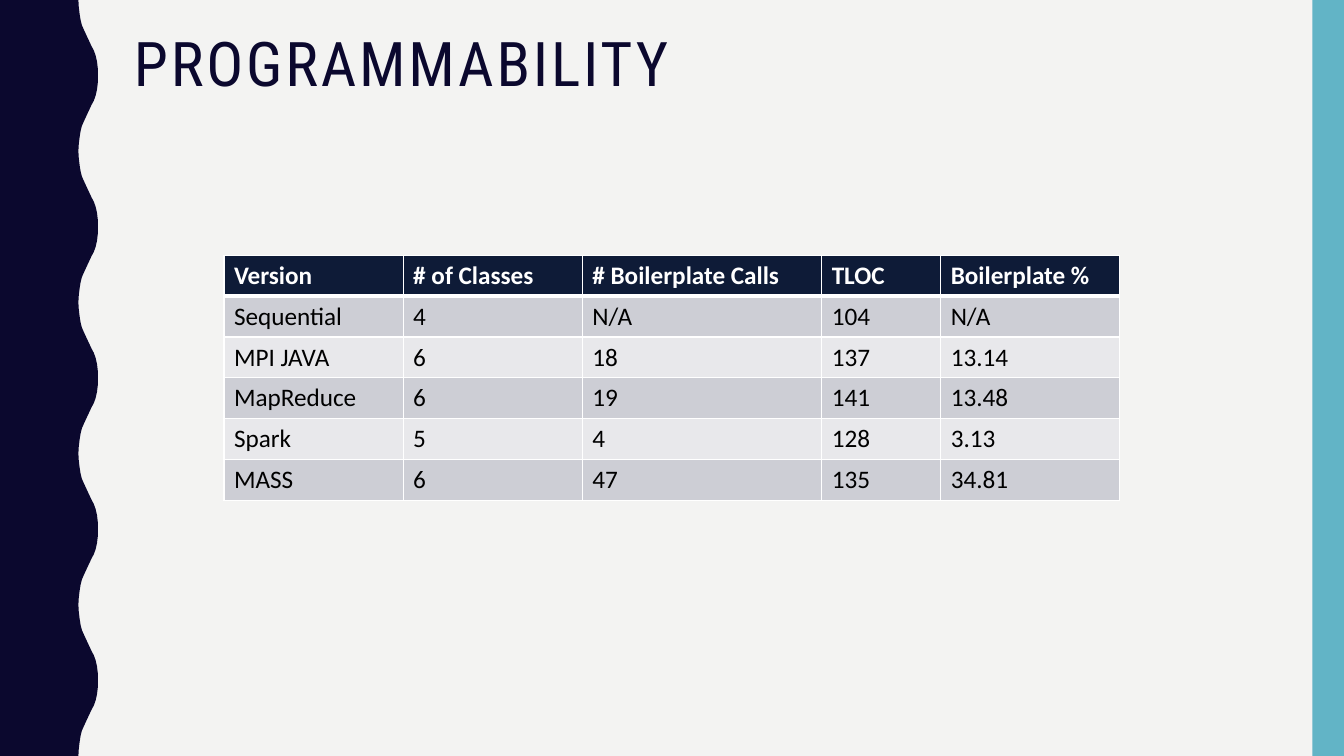
from lxml import etree
from pptx import Presentation
from pptx import util as u
from pptx.dml.color import RGBColor
from pptx.enum import shapes, text
from pptx.oxml import ns

Pt = u.Pt
TITLE = "PROGRAMMABILITY"
ROWS = [
    ("Version", "# of Classes", "# Boilerplate Calls", "TLOC", "Boilerplate %"),
    ("Sequential", "4", "N/A", "104", "N/A"),
    ("MPI JAVA", "6", "18", "137", "13.14"),
    ("MapReduce", "6", "19", "141", "13.48"),
    ("Spark", "5", "4", "128", "3.13"),
    ("MASS", "6", "47", "135", "34.81"),
]
COLS = [128, 128, 171, 85, 128]
ROW_H = 29.2
WIDE, HIGH = 960, 540
HALF = 54
BEND = [(56, 0), (56.3, 5), (56.9, 10), (57.6, 14.4), (58.5, 18), (59.8, 21),
        (61.2, 24), (62.6, 27), (64, 30), (65.4, 33), (67, 36), (68.3, 39.6),
        (69.3, 44), (69.9, 49), (70, 54)]

NAVY = RGBColor(0x0B, 0x08, 0x2E)
TEAL = RGBColor(0x62, 0xB4, 0xC6)
PAPER = RGBColor(0xF3, 0xF3, 0xF2)
HEAD = RGBColor(0x0E, 0x1B, 0x37)
DARK = RGBColor(0xCD, 0xCE, 0xD5)
LIGHT = RGBColor(0xE8, 0xE8, 0xEB)
WHITE = RGBColor(0xFF, 0xFF, 0xFF)
BLACK = RGBColor(0, 0, 0)

TITLE_FONT = {"name": "Roboto Condensed", "size": Pt(44), "bold": False}
HEAD_FONT = {"name": "Calibri", "size": Pt(18), "bold": True}
BODY_FONT = {**HEAD_FONT, "bold": False}


def style(font, look, color):
    for key, value in look.items():
        setattr(font, key, value)
    font.color.rgb = color


def paint(shape, color):
    shape.shadow.inherit = False
    shape.fill.solid()
    shape.fill.fore_color.rgb = color
    shape.line.fill.background()


def border(cell, top, bottom):
    props = cell._tc.get_or_add_tcPr()
    for side, width in (("L", 1), ("R", 1), ("T", top), ("B", bottom)):
        line = etree.SubElement(props, ns.qn("a:ln" + side), w=str(Pt(width)))
        fill = etree.SubElement(line, ns.qn("a:solidFill"))
        etree.SubElement(fill, ns.qn("a:srgbClr"), val=str(WHITE))


deck = Presentation()
deck.slide_width, deck.slide_height = Pt(WIDE), Pt(HIGH)
slide = deck.slides.add_slide(deck.slide_layouts[6])
slide.background.fill.solid()
slide.background.fill.fore_color.rgb = PAPER

wave = []
for k in range(HIGH // HALF):
    if k % 2:
        wave += [(x, (k + 1) * HALF - y) for x, y in reversed(BEND)][1:]
    else:
        wave += [(x, k * HALF + y) for x, y in BEND][min(k, 1):]
build = slide.shapes.build_freeform(0, 0)
build.add_line_segments([(Pt(x), Pt(y)) for x, y in wave + [(0, HIGH)]], close=True)
paint(build.convert_to_shape(), NAVY)

band = slide.shapes.add_shape(
    shapes.MSO_SHAPE.RECTANGLE, Pt(937.5), 0, Pt(22.5), Pt(HIGH))
paint(band, TEAL)

title = slide.shapes.add_textbox(Pt(88.6), Pt(22.3), Pt(492), Pt(51))
frame = title.text_frame
for key, value in {"word_wrap": True, "vertical_anchor": text.MSO_ANCHOR.MIDDLE}.items():
    setattr(frame, key, value)
para = frame.paragraphs[0]
para.line_spacing = 0.9
run = para.add_run()
run.text = TITLE
style(run.font, TITLE_FONT, NAVY)
run.font._element.set("spc", "200")

table = slide.shapes.add_table(
    len(ROWS), len(COLS), Pt(160), Pt(182.3),
    Pt(sum(COLS)), Pt(ROW_H * len(ROWS))).table
for col, width in zip(table.columns, COLS):
    col.width = Pt(width)
for r, row in enumerate(ROWS):
    table.rows[r].height = Pt(ROW_H)
    back = HEAD if r == 0 else DARK if r % 2 else LIGHT
    look, ink = (BODY_FONT, BLACK) if r else (HEAD_FONT, WHITE)
    for c, word in enumerate(row):
        cell = table.cell(r, c)
        border(cell, 3 if r == 1 else 1, 1 if r else 3)
        cell.fill.solid()
        cell.fill.fore_color.rgb = back
        run = cell.text_frame.paragraphs[0].add_run()
        run.text = word
        style(run.font, look, ink)

deck.save("out.pptx")
